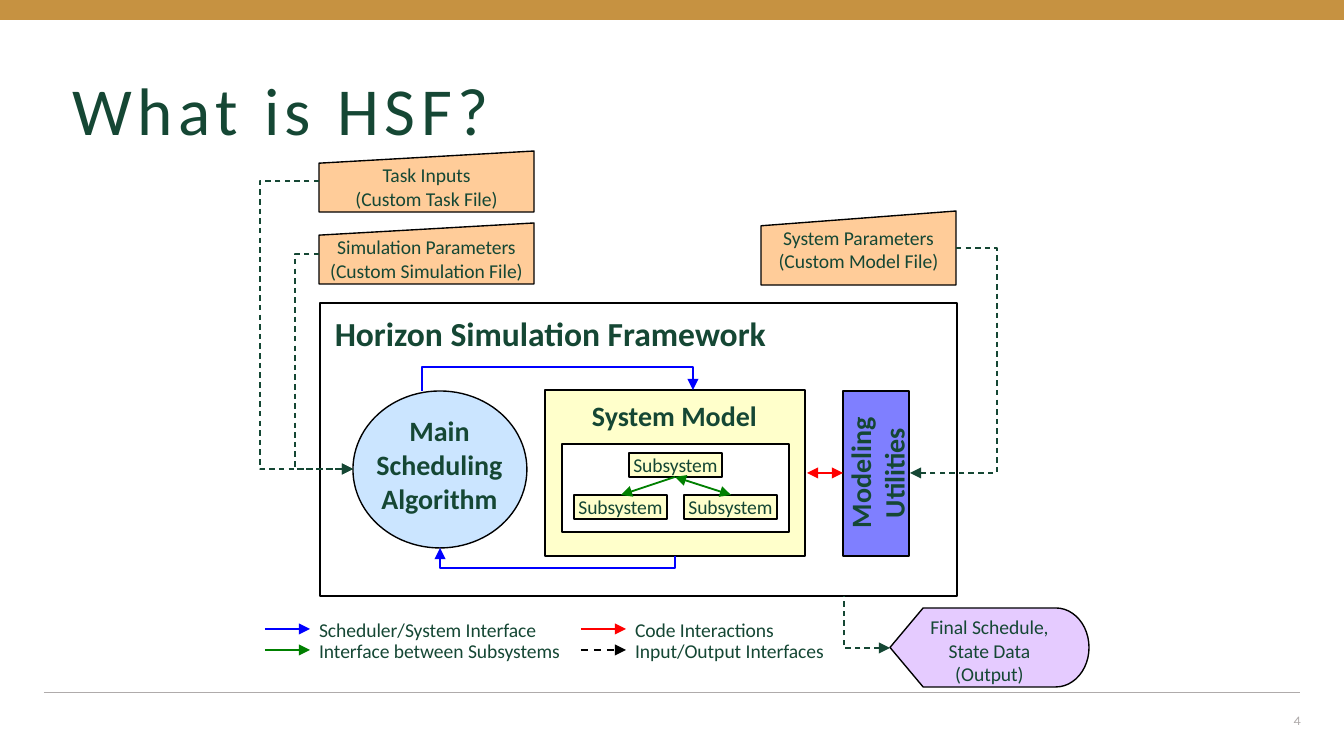
from lxml import etree
from pptx import Presentation, util as u
from pptx.dml.color import RGBColor
from pptx.enum import dml, shapes, text
from pptx.oxml import ns

PX = 9144000 / 1344
GREEN = RGBColor(0x15, 0x47, 0x34)
GOLD = RGBColor(0xC6, 0x92, 0x41)
GRAY = RGBColor(0xAF, 0xAB, 0xAB)
BLACK = RGBColor(0, 0, 0)
WHITE = RGBColor(0xFF, 0xFF, 0xFF)
ORANGE = RGBColor(0xFF, 0xCC, 0x99)
SKY = RGBColor(0x99, 0xCC, 0xFF)
LILAC = RGBColor(0xCC, 0x99, 0xFF)
YELLOW = RGBColor(0xFF, 0xFF, 0x99)
BLUE = RGBColor(0, 0, 0xFF)
LEAF = RGBColor(0, 0x80, 0)
RED = RGBColor(0xFF, 0, 0)
RECT = shapes.MSO_SHAPE.RECTANGLE
INPUT = shapes.MSO_SHAPE.FLOWCHART_MANUAL_INPUT
CENTER = text.PP_ALIGN.CENTER
LEFT = text.PP_ALIGN.LEFT
RIGHT = text.PP_ALIGN.RIGHT
STRAIGHT = shapes.MSO_CONNECTOR.STRAIGHT
ELBOW = shapes.MSO_CONNECTOR.ELBOW


def px(*values):
    return [u.Emu(round(v * PX)) for v in values]


def sub(parent, tag, **attrs):
    return etree.SubElement(parent, ns.qn(tag), **attrs)


def write(sp, content, size=10.5, font="Calibri", color=GREEN, bold=False,
          align=CENTER, anchor=text.MSO_ANCHOR.TOP, inset=(0, 0, 0, 0),
          spacing=None, line_spacing=None, vert=None):
    tf = sp.text_frame
    tf.word_wrap = True
    tf.vertical_anchor = anchor
    tf.margin_left, tf.margin_top, tf.margin_right, tf.margin_bottom = px(*inset)
    if vert:
        tf._txBody.bodyPr.set("vert", vert)
    for i, line in enumerate(content.split("\n")):
        p = tf.add_paragraph() if i else tf.paragraphs[0]
        p.alignment = align
        if line_spacing:
            p.line_spacing = line_spacing
        r = p.add_run()
        r.text = line
        r.font.size, r.font.name, r.font.bold = u.Pt(size), font, bold
        r.font.color.rgb = color
        if spacing:
            r._r.get_or_add_rPr().set("spc", str(spacing))


def label(s, box, content, **fmt):
    write(s.shapes.add_textbox(*px(*box)), content, **fmt)


def block(s, kind, box, fill, content=None, alpha=None, line=BLACK, **fmt):
    sp = s.shapes.add_shape(kind, *px(*box))
    sp.shadow.inherit = False
    sp.fill.solid()
    sp.fill.fore_color.rgb = fill
    if alpha:
        clr = sp._element.spPr.find(".//" + ns.qn("a:srgbClr"))
        sub(clr, "a:alpha", val=str(alpha * 1000))
    if line is None:
        sp.line.fill.background()
    else:
        sp.line.color.rgb = line
        sp.line.width = u.Pt(0.75)
    if content:
        write(sp, content, **fmt)


def connect(s, start, end, color, kind=STRAIGHT, width=1, dash=False,
            head=False, tail=True):
    cn = s.shapes.add_connector(kind, *px(*start, *end))
    cn.line.color.rgb = color
    cn.line.width = u.Pt(width)
    if dash:
        cn.line.dash_style = dml.MSO_LINE.DASH
    ln = cn.line._get_or_add_ln()
    if head:
        sub(ln, "a:headEnd", type="triangle")
    if tail:
        sub(ln, "a:tailEnd", type="triangle")
    sub(cn._element.spPr, "a:effectLst")
    return cn


def set_bend(cn, start, via, end):
    geom = cn._element.spPr.find(ns.qn("a:prstGeom"))
    guides = geom.find(ns.qn("a:avLst"))
    if guides is None:
        guides = sub(geom, "a:avLst")
    ratio = round((via - start) / (end - start) * 100000)
    sub(guides, "a:gd", name="adj1", fmla=f"val {ratio}")


def elbow_x(s, start, end, via, color, **fmt):
    cn = connect(s, start, end, color, ELBOW, **fmt)
    set_bend(cn, start[0], via, end[0])


def elbow_y(s, start, end, via, color, **fmt):
    cx, cy = (start[0] + end[0]) / 2, (start[1] + end[1]) / 2
    turned = [(cx - (y - cy), cy + (x - cx)) for x, y in (start, end)]
    cn = connect(s, *turned, color, ELBOW, **fmt)
    cn._element.spPr.find(ns.qn("a:xfrm")).set("rot", "16200000")
    set_bend(cn, start[1], via, end[1])


def corner(s, start, end, color, **fmt):
    cn = connect(s, start, end, color, ELBOW, **fmt)
    cn._element.spPr.find(ns.qn("a:prstGeom")).set("prst", "bentConnector2")


def add_frame(s):
    connect(s, (44, 693), (1300, 693), GRAY, width=0.5, tail=False)
    block(s, RECT, (0, 0, 1344, 20), GOLD, line=None)
    label(s, (59, 79, 613, 69), "What is HSF?", size=36, align=LEFT,
          anchor=text.MSO_ANCHOR.MIDDLE, inset=(13, 7, 13, 7),
          spacing=300, line_spacing=0.9)
    label(s, (1254, 700, 60, 40), "4", size=7, font="Karla", color=GRAY,
          align=RIGHT, anchor=text.MSO_ANCHOR.MIDDLE, inset=(13, 7, 13, 7))


def add_framework(s):
    block(s, RECT, (320, 303, 637, 293), WHITE)
    label(s, (301, 306, 499, 43), "Horizon Simulation Framework", size=18,
          bold=True, inset=(13, 7, 13, 7))
    block(s, shapes.MSO_SHAPE.FLOWCHART_CONNECTOR, (353, 391, 174, 157), SKY,
          alpha=50)
    label(s, (359, 407, 161, 112), "Main Scheduling Algorithm", size=15,
          bold=True, inset=(13, 7, 13, 7))
    block(s, RECT, (545, 390, 260, 166), YELLOW, alpha=50)
    label(s, (559, 399, 231, 32), "System Model", size=15, bold=True)
    block(s, RECT, (562, 444, 227, 88), WHITE)
    for x, y in ((574, 495), (629, 453), (684, 495)):
        block(s, RECT, (x, y, 93, 24), YELLOW, "Subsystem", alpha=50)
    block(s, RECT, (843, 391, 66, 165), BLUE, alpha=50)
    label(s, (843, 390, 66, 166), "Modeling Utilities", size=15, bold=True,
          vert="vert270")
    connect(s, (675, 477), (621, 495), LEAF)
    connect(s, (675, 477), (731, 495), LEAF, head=True)
    elbow_y(s, (422, 391), (693, 390), 367, BLUE)
    elbow_y(s, (675, 556), (440, 548), 568, BLUE)
    connect(s, (807, 473), (843, 473), RED, width=0.75, head=True)


def add_files(s):
    for box, content in (
        ((319, 151, 215, 61), "Task Inputs\n(Custom Task File)"),
        ((319, 223, 215, 61), "Simulation Parameters (Custom Simulation File)"),
        ((761, 211, 195, 74), "System Parameters (Custom Model File)"),
    ):
        block(s, INPUT, box, ORANGE, content)
    block(s, shapes.MSO_SHAPE.FLOWCHART_DISPLAY, (890, 608, 199, 79), LILAC,
          "Final Schedule, State Data (Output)", alpha=50, inset=(0, 7, 0, 0))
    for start, end, via in (
        ((319, 181), (353, 469), 260),
        ((319, 254), (353, 469), 295),
        ((956, 248), (910, 473), 997),
    ):
        elbow_x(s, start, end, via, GREEN, width=0.75, dash=True)
    corner(s, (890, 648), (844, 596), GREEN, width=0.75, dash=True,
           head=True, tail=False)


def add_legend(s):
    for x, y, color, name in (
        (265, 629, BLUE, "Scheduler/System Interface"),
        (265, 650, LEAF, "Interface between Subsystems"),
        (581, 629, RED, "Code Interactions"),
        (581, 650, BLACK, "Input/Output Interfaces"),
    ):
        connect(s, (x, y), (x + 45, y), color, dash=color == BLACK)
        label(s, (x + 54, y - 11, 255, 23), name, align=LEFT)


def main():
    prs = Presentation()
    prs.slide_width, prs.slide_height = px(1344, 756)
    s = prs.slides.add_slide(prs.slide_layouts[6])
    add_frame(s)
    add_framework(s)
    add_files(s)
    add_legend(s)
    prs.save("out.pptx")


if __name__ == "__main__":
    main()
